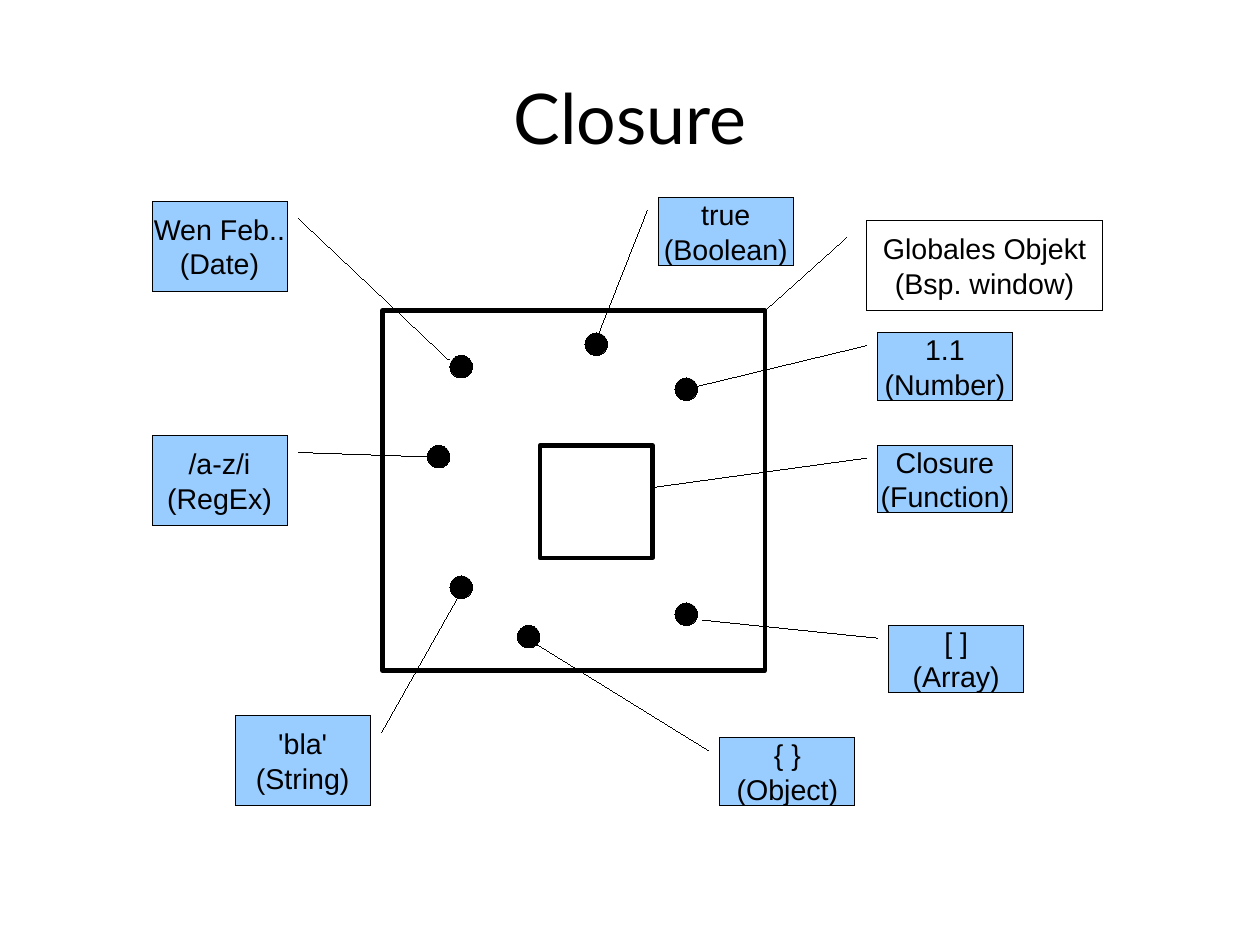
from dataclasses import dataclass
from typing import Optional

from pptx import Presentation
from pptx.dml.color import RGBColor
from pptx.enum.shapes import MSO_SHAPE as Preset
from pptx.enum.text import MSO_ANCHOR as Anchor, PP_ALIGN as Align
from pptx.util import Cm, Pt

COLORS = {"ink": "000000", "value": "99CCFF", "paper": "FFFFFF"}
COLUMNS, ROWS = 28, 21  # one grid cell is one centimetre
DOT_SIZE = 0.5
HAIRLINE, FRAME_LINE = 0.01, 2.83
LEADER_ROW, LEADER_GAP = 0.188, -0.083  # leader start, as shares of its box


@dataclass
class Box:
    """An area in grid columns and rows."""
    column: float
    row: float
    width: float
    height: float


@dataclass
class Callout:
    """A label whose leader ends at a grid point."""
    text: str
    box: Box
    tip_column: float
    tip_row: float
    fill: Optional[str] = "value"


TITLE = Box(1.4, 0.97, 25.2, 3.25)
GLOBAL_SCOPE = Box(8.5, 6.9, 8.5, 8)
CLOSURE_SCOPE = Box(12, 9.9, 2.5, 2.5)

DOTS = [(10, 7.9), (11.5, 13.9), (9.5, 9.9), (10, 12.8),
        (13, 7.4), (15, 8.4), (15, 13.4)]

CALLOUTS = [
    Callout("Globales Objekt\n(Bsp. window)", Box(19.25, 4.9, 5.26, 2), 17, 6.9, None),
    Callout("1.1\n(Number)", Box(19.5, 7.4, 3, 1.5), 15.4, 8.61),
    Callout("Closure\n(Function)", Box(19.5, 9.9, 3, 1.5), 14.54, 10.83),
    Callout("[ ]\n(Array)", Box(19.75, 13.9, 3, 1.5), 15.6, 13.78),
    Callout("true\n(Boolean)", Box(14.63, 4.4, 3, 1.5), 13.17, 7.75),
    Callout("{ }\n(Object)", Box(16, 16.4, 3, 1.5), 11.82, 14.25),
    Callout("'bla'\n(String)", Box(5.23, 15.9, 3, 2), 10.24, 13.16),
    Callout("/a-z/i\n(RegEx)", Box(3.38, 9.68, 3, 2), 9.67, 10.16),
    Callout("Wen Feb..\n(Date)", Box(3.38, 4.47, 3, 2), 9.98, 8),
]

deck = Presentation()
deck.slide_width, deck.slide_height = Cm(COLUMNS), Cm(ROWS)
page = deck.slides.add_slide(deck.slide_layouts[5])


def color(name: str) -> RGBColor:
    return RGBColor.from_string(COLORS[name])


def place(box: Box) -> tuple:
    """Turn grid units into left, top, width and height."""
    return Cm(box.column), Cm(box.row), Cm(box.width), Cm(box.height)


def draw_shape(preset: Preset, box: Box, fill: Optional[str] = None,
               line_width: float = HAIRLINE):
    shape = page.shapes.add_shape(preset, *place(box))
    shape.shadow.inherit = False
    if fill:
        shape.fill.solid()
        shape.fill.fore_color.rgb = color(fill)
    else:
        shape.fill.background()
    shape.line.color.rgb = color("ink")
    shape.line.width = Pt(line_width)
    return shape


def format_text(frame, font_name: str, size: float) -> None:
    frame.vertical_anchor = Anchor.MIDDLE
    for para in frame.paragraphs:
        para.alignment = Align.CENTER
        for span in para.runs:
            span.font.name = font_name
            span.font.size = Pt(size)
            span.font.color.rgb = color("ink")


def draw_callout(callout: Callout) -> None:
    box = callout.box
    shape = draw_shape(Preset.LINE_CALLOUT_1, box, callout.fill)
    tip_across = (callout.tip_column - box.column) / box.width
    if tip_across > 1:  # the leader leaves on the right: mirror the shape
        shape._element.spPr.xfrm.set("flipH", "1")
        tip_across = 1 - tip_across
    tip_down = (callout.tip_row - box.row) / box.height
    for index, share in enumerate((LEADER_ROW, LEADER_GAP, tip_down, tip_across)):
        shape.adjustments[index] = share
    shape.text_frame.text = callout.text
    shape.text_frame.word_wrap = False
    format_text(shape.text_frame, "Arial", 18)


# Background and title
page.background.fill.solid()
page.background.fill.fore_color.rgb = color("paper")
title = page.shapes.title
title.left, title.top, title.width, title.height = place(TITLE)
title_frame = title.text_frame
title_frame.text = "Closure"
title_frame.margin_left = title_frame.margin_right = 0
title_frame.margin_top = title_frame.margin_bottom = 0
format_text(title_frame, "Lato", 44)

# Scopes and the values they hold
for scope in (GLOBAL_SCOPE, CLOSURE_SCOPE):
    draw_shape(Preset.RECTANGLE, scope, line_width=FRAME_LINE)
for dot_column, dot_row in DOTS:
    draw_shape(Preset.OVAL, Box(dot_column, dot_row, DOT_SIZE, DOT_SIZE), "ink")

# Labels
for label in CALLOUTS:
    draw_callout(label)

deck.save("out.pptx")
